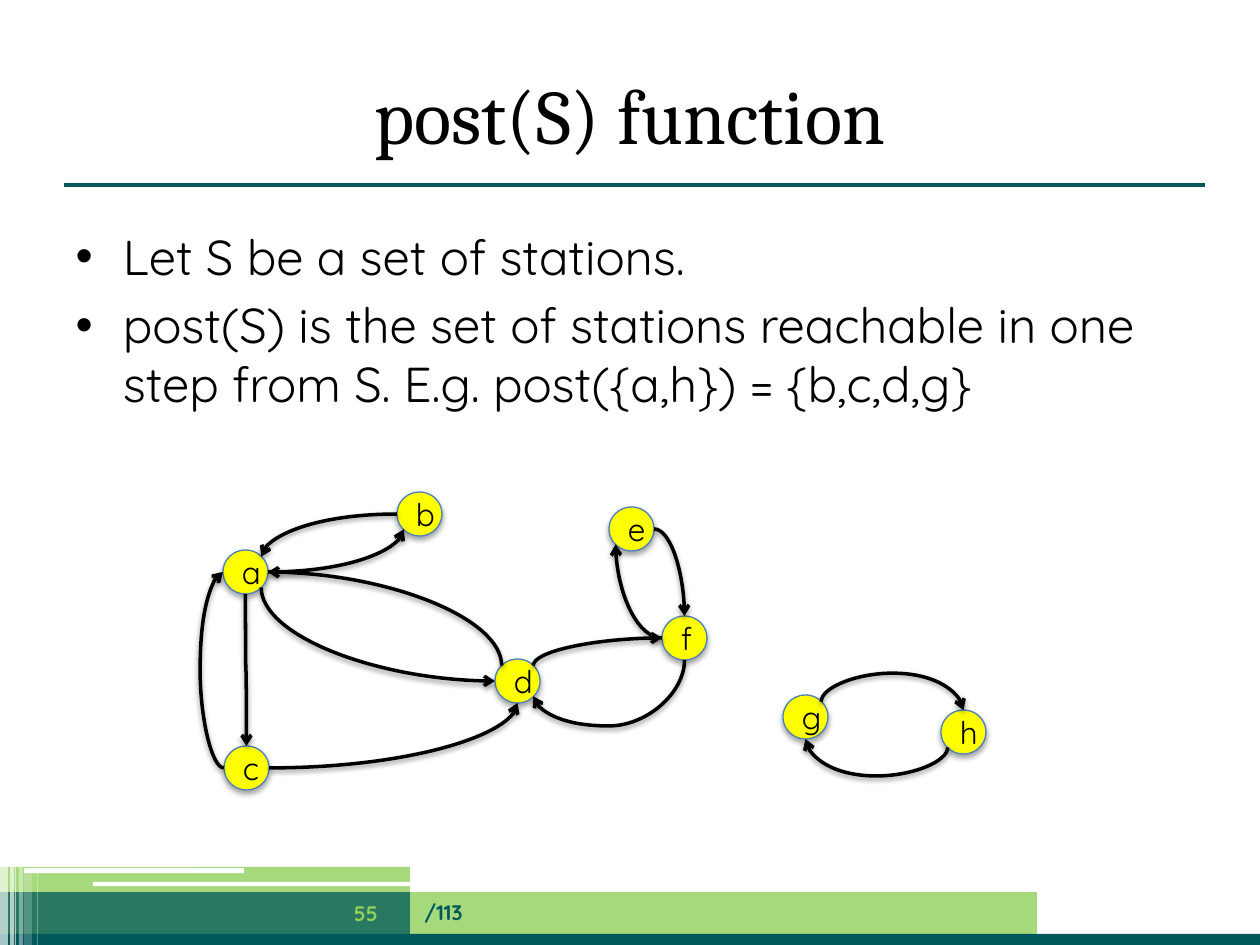
import pptx
import pptx.util
import pptx.dml.color
import pptx.enum.shapes
import pptx.enum.text
import pptx.oxml
import pptx.oxml.ns

PX = 914400 / 126
COLORS = {"teal": "00585A", "green": "90D05C", "white": "FFFFFF",
          "black": "000000", "yellow": "FFFF00", "blue": "4B7EBC"}
SHAPE = pptx.enum.shapes.MSO_SHAPE
CONNECTOR = pptx.enum.shapes.MSO_CONNECTOR
ALIGN = pptx.enum.text.PP_ALIGN
ANCHOR = pptx.enum.text.MSO_ANCHOR
NODE_W, NODE_H = 45, 44

# Node positions relative to the graph box
NODES = {"a": (24, 58), "c": (25, 254), "b": (198, 0), "d": (296, 167),
         "e": (410, 15), "g": (584, 203), "f": (463, 124), "h": (742, 218)}

# Compass sites on a node, as fractions of its size from the centre
SITES = {"n": (0, -0.5), "s": (0, 0.5), "w": (-0.5, 0), "e": (0.5, 0),
         "ne": (0.35, -0.35), "nw": (-0.35, -0.35),
         "se": (0.35, 0.35), "sw": (-0.35, 0.35)}

# From node and site, to node and site, turning coordinate of S-shaped edges
EDGES = [("g", "ne", "h", "n", 181), ("h", "sw", "g", "s", 284),
         ("a", "e", "b", "sw", None), ("a", "s", "c", "n", 178),
         ("a", "se", "d", "w", None), ("c", "e", "d", "s", None),
         ("b", "w", "a", "ne", None), ("c", "w", "a", "w", 1),
         ("d", "nw", "a", "e", None), ("d", "ne", "f", "w", None),
         ("f", "s", "d", "se", 234), ("e", "e", "f", "n", None),
         ("f", "w", "e", "sw", None)]


def px(*values):
    return [pptx.util.Emu(round(v * PX)) for v in values]


def rgb(name):
    return pptx.dml.color.RGBColor.from_string(COLORS[name])


def add_xml(parent, xml):
    ns = pptx.oxml.ns.nsdecls("a")
    parent.append(pptx.oxml.parse_xml(xml.replace("@ns", ns)))


def add_shadow(sp, alpha=0, dist=0):
    effect = (f'<a:outerShdw blurRad="39370" dist="{dist}" dir="5400000" '
              f'rotWithShape="0"><a:srgbClr val="{COLORS["black"]}">'
              f'<a:alpha val="{alpha}000"/></a:srgbClr></a:outerShdw>')
    add_xml(sp._element.spPr,
            f"<a:effectLst @ns>{effect if alpha else ''}</a:effectLst>")


def add_text(p, text, size, color="black", font="Quicksand", bold=None):
    r = p.add_run()
    r.text = text
    r.font.name, r.font.size, r.font.bold = font, pptx.util.Pt(size), bold
    r.font.color.rgb = rgb(color)


def add_block(s, box, color, alpha=100, kind=SHAPE.RECTANGLE):
    sp = s.shapes.add_shape(kind, *px(*box))
    sp.shadow.inherit = False
    sp.fill.solid()
    sp.fill.fore_color.rgb = rgb(color)
    sp.line.fill.background()
    if alpha < 100:
        clr = sp._element.spPr.find(".//" + pptx.oxml.ns.qn("a:srgbClr"))
        add_xml(clr, f'<a:alpha @ns val="{alpha}000"/>')


def add_label(s, box, text, color, align):
    tf = s.shapes.add_textbox(*px(*box)).text_frame
    tf.word_wrap = True
    tf.vertical_anchor = ANCHOR.MIDDLE
    tf.paragraphs[0].alignment = align
    add_text(tf.paragraphs[0], text, 12, color, bold=True)


def add_footer(s, x, y, w, h):
    # Bars
    add_block(s, (x, y + 28, 1037, 42), "green", 80)
    add_block(s, (x, y + 70, w, h - 70), "teal")
    add_block(s, (x, y + 28, 410, 42), "teal", 75)
    add_block(s, (x, y + 3, 410, 25), "green", 80)
    add_block(s, (x + 93, y + 18, 422, 4), "white", kind=SHAPE.ROUNDED_RECTANGLE)
    add_block(s, (x + 24, y + 4, 220, 5), "white", kind=SHAPE.ROUNDED_RECTANGLE)
    # Fading vertical stripes
    for left, width, top, alpha in [(0, 8, 0, 65), (10, 4, 0, 65), (15, 1, 0, 60),
                                    (19, 4, 0, 40), (24, 8, 5, 20), (37, 1, 5, 30)]:
        add_block(s, (x + left, y + top, width, h - top), "white", alpha)
    # Page number and total
    add_label(s, (x + 412, y + 23, 625, 50), "/113", "teal", ALIGN.LEFT)
    add_label(s, (x + 322, y + 24, 88, 50), "55", "green", ALIGN.CENTER)


def add_title(s, x, y, w, h):
    sp = s.shapes.title
    sp.left, sp.top, sp.width, sp.height = px(x, y, w, h)
    tf = sp.text_frame
    tf.auto_size = pptx.enum.text.MSO_AUTO_SIZE.NONE
    tf.vertical_anchor = ANCHOR.MIDDLE
    tf.paragraphs[0].alignment = ALIGN.CENTER
    add_text(tf.paragraphs[0], "post(S) function", 44, font="Cambria")
    # Rule below the title
    rule = s.shapes.add_connector(CONNECTOR.STRAIGHT,
                                  *px(x + 1, y + 130, x + 1142, y + 130))
    rule.line.color.rgb = rgb("teal")
    rule.line.width = pptx.util.Pt(2.25)
    add_shadow(rule)


def add_body(s, x, y, w, h):
    sp = s.placeholders[1]
    sp.left, sp.top, sp.width, sp.height = px(x, y, w, h)
    tf = sp.text_frame
    tf.auto_size = pptx.enum.text.MSO_AUTO_SIZE.NONE
    lines = ["Let S be a set of stations.",
             "post(S) is the set of stations reachable in one step from S. "
             "E.g. post({a,h}) = {b,c,d,g}"]
    for i, text in enumerate(lines):
        p = tf.add_paragraph() if i else tf.paragraphs[0]
        p.space_before = pptx.util.Pt(5.6 if i else 0)
        add_text(p, text, 28)


def add_node(s, x, y, name):
    sp = s.shapes.add_shape(SHAPE.OVAL, *px(x, y, NODE_W, NODE_H))
    sp.fill.solid()
    sp.fill.fore_color.rgb = rgb("yellow")
    sp.line.color.rgb = rgb("blue")
    sp.line.width = pptx.util.Pt(0.75)
    add_shadow(sp, 35, 22860)
    p = sp.text_frame.paragraphs[0]
    p.alignment = ALIGN.CENTER
    add_text(p, name, 18)


def add_edge(s, start, end, upright, turn):
    """Curve from start to end; upright ones leave the node vertically."""
    dx, dy = end[0] - start[0], end[1] - start[1]
    cx, cy = (start[0] + end[0]) / 2, (start[1] + end[1]) / 2
    # An upright curve is a level one turned by 90 degrees about its centre
    lx, ly = (dy, -dx) if upright else (dx, dy)
    c = s.shapes.add_connector(CONNECTOR.CURVE, *px(
        cx - lx / 2, cy - ly / 2, cx + lx / 2, cy + ly / 2))
    c.line.color.rgb = rgb("black")
    c.line.width = pptx.util.Pt(2)
    add_xml(c.line._get_or_add_ln(), '<a:tailEnd @ns type="arrow"/>')
    add_shadow(c, 38, 20320)
    if upright:
        c._element.spPr.find(pptx.oxml.ns.qn("a:xfrm")).set("rot", "5400000")
    geom = c._element.spPr.find(pptx.oxml.ns.qn("a:prstGeom"))
    if turn is None:
        geom.set("prst", "curvedConnector2")
    else:
        adj = round((turn - start[upright]) / lx * 100000)
        add_xml(geom.find(pptx.oxml.ns.qn("a:avLst")),
                f'<a:gd @ns name="adj1" fmla="val {adj}"/>')


def add_graph(s, x, y):
    def site(node, side):
        (left, top), (fx, fy) = NODES[node], SITES[side]
        return (x + left + NODE_W * (0.5 + fx), y + top + NODE_H * (0.5 + fy))

    for name, (left, top) in NODES.items():
        add_node(s, x + left, y + top, name)
    for source, out, target, into, turn in EDGES:
        upright = out not in ("e", "w")
        if turn is not None:
            turn += y if upright else x
        add_edge(s, site(source, out), site(target, into), upright, turn)


def main():
    prs = pptx.Presentation()
    prs.slide_width, prs.slide_height = px(1260, 945)
    s = prs.slides.add_slide(prs.slide_layouts[1])
    add_footer(s, 0, 864, 1260, 81)
    add_title(s, 63, 55, 1134, 118)
    add_body(s, 63, 220, 1134, 624)
    add_graph(s, 199, 492)
    prs.save("out.pptx")


if __name__ == "__main__":
    main()
